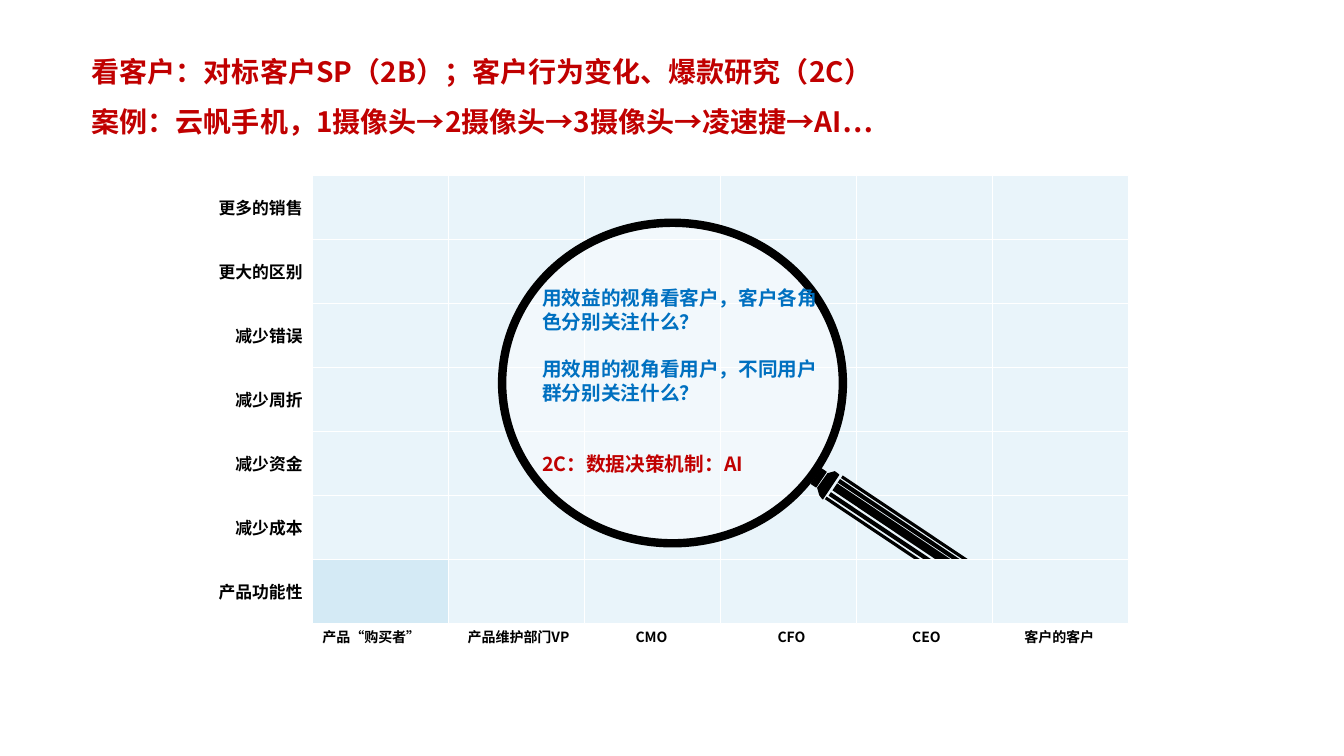
from lxml.etree import SubElement
from pptx import Presentation
from pptx.dml.color import RGBColor
from pptx.enum.shapes import MSO_CONNECTOR, MSO_SHAPE
from pptx.enum.text import MSO_ANCHOR, MSO_AUTO_SIZE, PP_ALIGN
from pptx.oxml.ns import qn
from pptx.util import Inches, Pt

FONT = "Noto Sans CJK SC"
RED = RGBColor(0xC0, 0x00, 0x00)
BLUE = RGBColor(0x00, 0x70, 0xC0)
BLACK = RGBColor(0x00, 0x00, 0x00)
WHITE = RGBColor(0xFF, 0xFF, 0xFF)
PALE = RGBColor(0xE9, 0xF4, 0xFA)
LIGHT = RGBColor(0xD4, 0xEA, 0xF5)

BENEFITS = ["更多的销售", "更大的区别", "减少错误", "减少周折",
            "减少资金", "减少成本", "产品功能性"]
# Role, and how far its label sits from the column centre
ROLES = [("产品“购买者”", 0), ("产品维护部门VP", 0.02), ("CMO", -0.01),
         ("CFO", 0.03), ("CEO", 0.02), ("客户的客户", -0.01)]
HEADLINE = ["看客户：对标客户SP（2B）；客户行为变化、爆款研究（2C）",
            "案例：云帆手机，1摄像头→2摄像头→3摄像头→凌速捷→AI…"]
# Text, colour, space before in points
QUESTIONS = [("用效益的视角看客户，客户各角色分别关注什么？", BLUE, 0),
             ("用效用的视角看用户，不同用户群分别关注什么？", BLUE, 17),
             ("2C：数据决策机制：AI", RED, 34)]

# Grid of benefits (rows) by roles (columns)
GRID_LEFT, GRID_TOP = 3.1, 1.74
COL = (11.19 - GRID_LEFT) / len(ROLES)
ROW = (6.19 - GRID_TOP) / len(BENEFITS)
LAST = len(BENEFITS) - 1

# Magnifier handle: shared run of its bars, then start point and width of each
HANDLE_RUN = (1.36, 0.91)
HANDLE_BARS = [(8.28, 4.83, 6), (8.32, 4.77, 3), (8.23, 4.9, 3),
               (8.35, 4.73, 2.25), (8.19, 4.94, 2.25)]
GRIP = [(8.16, 4.95), (8.32, 4.71), (8.28, 4.68), (8.21, 4.7),
        (8.11, 4.84), (8.13, 4.91)]


def inches(*lengths):
    return [Inches(length) for length in lengths]


def write(paragraph, words, size, color, align=PP_ALIGN.LEFT):
    paragraph.alignment = align
    run = paragraph.add_run()
    run.text = words
    font = run.font
    font.name, font.size, font.bold = FONT, Pt(size), True
    font.color.rgb = color
    SubElement(run._r.get_or_add_rPr(), qn("a:ea"), typeface=FONT)


def paint(shape, fill, line, width):
    shape.shadow.inherit = False
    shape.fill.solid()
    shape.fill.fore_color.rgb = fill
    shape.line.color.rgb = line
    shape.line.width = Pt(width)
    return shape


def add_box(slide, left, top, width, height, anchor=MSO_ANCHOR.TOP):
    frame = slide.shapes.add_textbox(*inches(left, top, width, height)).text_frame
    frame.word_wrap = True
    frame.vertical_anchor = anchor
    return frame


def add_cell(slide, row, col, fill=PALE):
    cell = slide.shapes.add_shape(
        MSO_SHAPE.RECTANGLE,
        *inches(GRID_LEFT + col * COL, GRID_TOP + row * ROW, COL, ROW))
    paint(cell, fill, WHITE, 0.75)


def add_headline(slide):
    title = slide.shapes.title
    title.left, title.top, title.width, title.height = inches(0.81, 0.48, 9.38, 0.79)
    frame = title.text_frame
    frame.auto_size = MSO_AUTO_SIZE.NONE
    frame.vertical_anchor = MSO_ANCHOR.MIDDLE
    for index, words in enumerate(HEADLINE):
        paragraph = frame.add_paragraph() if index else frame.paragraphs[0]
        paragraph.line_spacing = 1.5
        write(paragraph, words, 20, RED)


def add_labels(slide):
    for row, benefit in enumerate(BENEFITS):
        frame = add_box(slide, GRID_LEFT - COL, GRID_TOP + (row + 0.5) * ROW - 0.15,
                        COL, 0.3, MSO_ANCHOR.MIDDLE)
        write(frame.paragraphs[0], benefit, 12, BLACK, PP_ALIGN.RIGHT)
    for col, (role, shift) in enumerate(ROLES):
        margin = 0.1 if col else 0
        frame = add_box(slide, GRID_LEFT + col * COL - margin + shift,
                        GRID_TOP + len(BENEFITS) * ROW, COL + 2 * margin, 0.27)
        write(frame.paragraphs[0], role, 10, BLACK,
              PP_ALIGN.CENTER if col else PP_ALIGN.LEFT)


def add_magnifier(slide):
    lens = slide.shapes.add_shape(MSO_SHAPE.OVAL, *inches(4.98, 2.21, 3.38, 3.18))
    paint(lens, WHITE, BLACK, 6)
    lens_color = lens.fill._xPr.find(qn("a:solidFill"))[0]
    SubElement(lens_color, qn("a:alpha"), val="44000")

    collar = slide.shapes.add_shape(MSO_SHAPE.RECTANGLE, *inches(8.03, 4.71, 0.18, 0.06))
    collar.rotation = 303.9
    paint(collar, BLACK, BLACK, 0.75)

    outline = [tuple(inches(*point)) for point in GRIP]
    builder = slide.shapes.build_freeform(*outline[0])
    builder.add_line_segments(outline[1:], close=True)
    paint(builder.convert_to_shape(), BLACK, BLACK, 0.75)

    run_x, run_y = HANDLE_RUN
    for x, y, width in HANDLE_BARS:
        bar = slide.shapes.add_connector(
            MSO_CONNECTOR.STRAIGHT, *inches(x, y, x + run_x, y + run_y))
        bar.line.color.rgb = BLACK
        bar.line.width = Pt(width)
        SubElement(bar._element.spPr, qn("a:effectLst"))


def add_questions(slide):
    frame = add_box(slide, 5.28, 2.79, 2.96, 1.98)
    for index, (words, color, gap) in enumerate(QUESTIONS):
        paragraph = frame.add_paragraph() if index else frame.paragraphs[0]
        if gap:
            paragraph.space_before = Pt(gap)
        write(paragraph, words, 14, color)


def main():
    deck = Presentation()
    deck.slide_width, deck.slide_height = inches(13.33, 7.5)
    slide = deck.slides.add_slide(deck.slide_layouts[5])
    add_headline(slide)

    # Upper rows lie behind the magnifier
    for row in range(LAST):
        for col in range(len(ROLES)):
            add_cell(slide, row, col)
    add_magnifier(slide)

    # The bottom row covers the end of the handle
    for col in range(len(ROLES)):
        add_cell(slide, LAST, col, PALE if col else LIGHT)

    add_labels(slide)
    add_questions(slide)
    deck.save("out.pptx")


if __name__ == "__main__":
    main()
